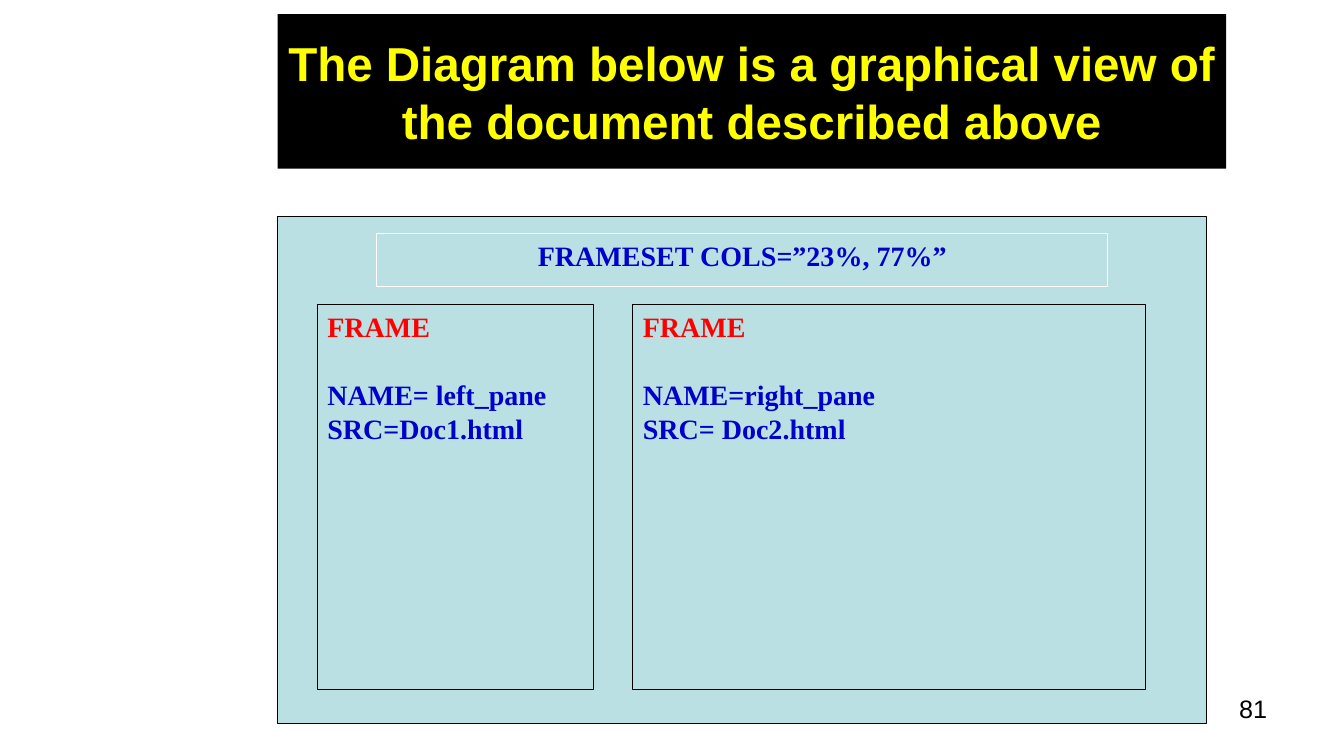
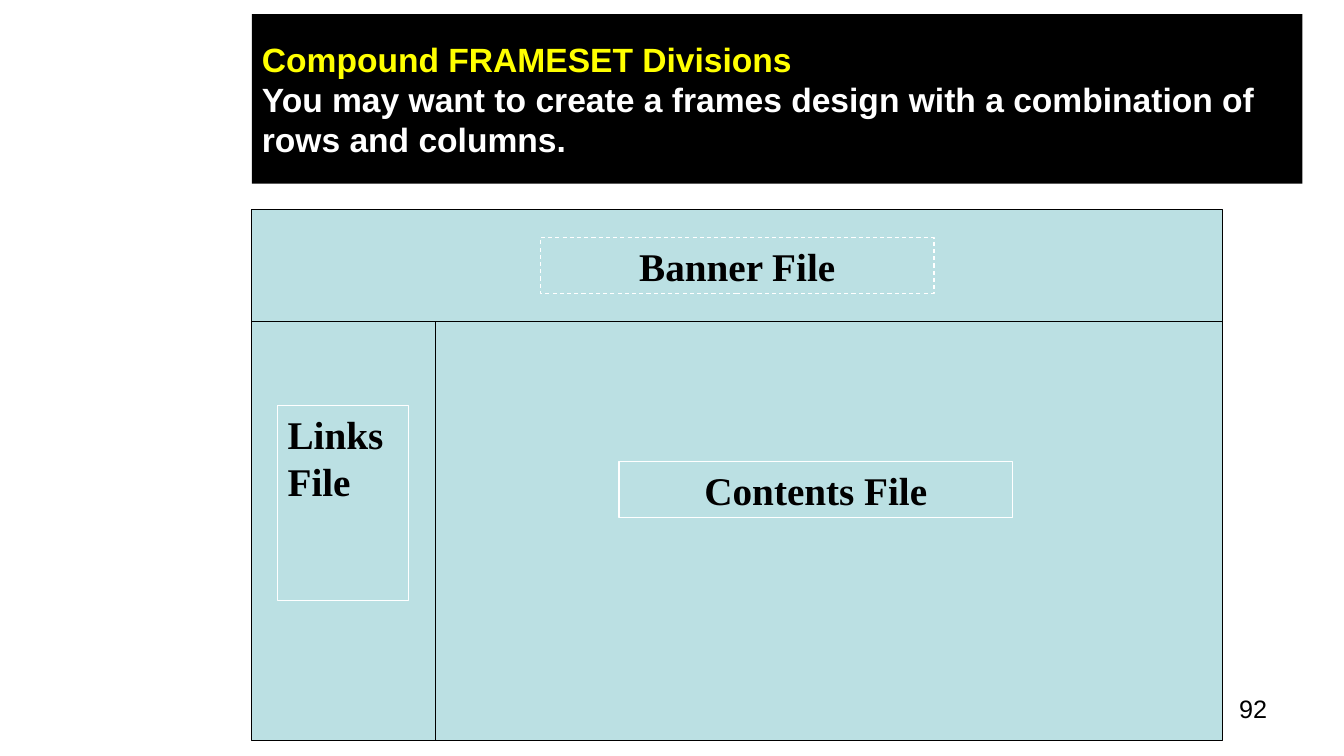
"""Build two slides that show how HTML framesets divide a page."""
from dataclasses import dataclass

from lxml import etree
from pptx import Presentation
from pptx.dml.color import RGBColor
from pptx.enum.dml import MSO_LINE
from pptx.enum.shapes import MSO_CONNECTOR, MSO_SHAPE
from pptx.enum.text import MSO_ANCHOR, PP_ALIGN
from pptx.oxml.ns import qn
from pptx.presentation import Presentation as Deck
from pptx.shapes.autoshape import Shape
from pptx.slide import Slide
from pptx.util import Cm, Pt

BLACK = RGBColor(0x00, 0x00, 0x00)
WHITE = RGBColor(0xFF, 0xFF, 0xFF)
YELLOW = RGBColor(0xFF, 0xFF, 0x00)
RED = RGBColor(0xFF, 0x00, 0x00)
BLUE = RGBColor(0x00, 0x00, 0xCC)
PALE_TEAL = RGBColor(0xBB, 0xE0, 0xE3)

SANS = "Arial"
SERIF = "Times New Roman"
LINE_WIDTH = Pt(0.75)
BLANK_LAYOUT = 6

LEFT, CENTER, RIGHT = PP_ALIGN.LEFT, PP_ALIGN.CENTER, PP_ALIGN.RIGHT
TOP, MIDDLE = MSO_ANCHOR.TOP, MSO_ANCHOR.MIDDLE
RECTANGLE = MSO_SHAPE.RECTANGLE
STRAIGHT = MSO_CONNECTOR.STRAIGHT
DASH = MSO_LINE.DASH


@dataclass(frozen=True)
class Area:
    """Rectangle on the page, in centimetres."""

    left: float
    top: float
    width: float
    height: float

    @property
    def right(self) -> float:
        """Return the right edge."""
        return self.left + self.width

    @property
    def bottom(self) -> float:
        """Return the bottom edge."""
        return self.top + self.height

    def lengths(self) -> tuple[Cm, Cm, Cm, Cm]:
        """Return position and size as slide lengths."""
        return Cm(self.left), Cm(self.top), Cm(self.width), Cm(self.height)


@dataclass(frozen=True)
class Line:
    """One paragraph of text with its colour and the gap above it."""

    text: str
    color: RGBColor = BLACK
    space_before: float = 0


@dataclass(frozen=True)
class Label:
    """Bordered text box inside a frameset panel."""

    area: Area
    lines: tuple[Line, ...]
    border: RGBColor = WHITE
    align: PP_ALIGN = CENTER
    dashed: bool = False


PAGE_NUMBER_AREA = Area(24.28, 17.35, 7.9, 1.32)


def write_text(box: Shape, lines: tuple[Line, ...], *, size: float, font: str = SANS,
               bold: bool = True, align: PP_ALIGN = LEFT, anchor: MSO_ANCHOR = TOP) -> None:
    """Fill a shape with one paragraph per line."""
    frame = box.text_frame
    frame.word_wrap = True
    frame.vertical_anchor = anchor
    for index, line in enumerate(lines):
        para = frame.add_paragraph() if index else frame.paragraphs[0]
        para.alignment = align
        para.space_before = Pt(line.space_before)
        span = para.add_run()
        span.text = line.text
        span.font.name = font
        span.font.size = Pt(size)
        span.font.bold = bold
        span.font.color.rgb = line.color


def add_box(page: Slide, area: Area, fill: RGBColor, border: RGBColor | None = None) -> Shape:
    """Add a flat rectangle, with a border if a colour is given."""
    box = page.shapes.add_shape(RECTANGLE, *area.lengths())
    box.shadow.inherit = False
    box.fill.solid()
    box.fill.fore_color.rgb = fill
    if border is None:
        box.line.fill.background()
    else:
        box.line.color.rgb = border
        box.line.width = LINE_WIDTH
    return box


def add_label(page: Slide, label: Label, size: float) -> None:
    """Add a bordered label in the serif font."""
    box = add_box(page, label.area, PALE_TEAL, label.border)
    if label.dashed:
        box.line.dash_style = DASH
    write_text(box, label.lines, size=size, font=SERIF, align=label.align)


def add_divider(page: Slide, left: float, top: float, right: float, bottom: float) -> None:
    """Add a thin black line between two frames."""
    divider = page.shapes.add_connector(STRAIGHT, Cm(left), Cm(top), Cm(right), Cm(bottom))
    divider.line.color.rgb = BLACK
    divider.line.width = LINE_WIDTH
    etree.SubElement(divider._element.spPr, qn("a:effectLst"))


def add_page(deck: Deck, number: int, title_area: Area, title: tuple[Line, ...], *,
             title_size: float, title_align: PP_ALIGN = LEFT) -> Slide:
    """Add a page with its number and black title band."""
    page = deck.slides.add_slide(deck.slide_layouts[BLANK_LAYOUT])
    number_box = page.shapes.add_textbox(*PAGE_NUMBER_AREA.lengths())
    write_text(number_box, (Line(str(number)),), size=18, bold=False, align=RIGHT)
    band = add_box(page, title_area, BLACK)
    write_text(band, title, size=title_size, align=title_align, anchor=MIDDLE)
    return page


def frame_label(area: Area, name: str, source: str) -> Label:
    """Describe a frame by its name and source."""
    lines = (Line("FRAME", RED), Line(name, BLUE, space_before=25), Line(source, BLUE))
    return Label(area, lines, BLACK, LEFT)


def build_columns_page(deck: Deck) -> None:
    """Build the page with two frames side by side."""
    title = Line("The Diagram below is a graphical view of the document described above", YELLOW)
    page = add_page(deck, 81, Area(7, 0.36, 23.9, 3.89), (title,),
                    title_size=34, title_align=CENTER)
    add_box(page, Area(7, 5.46, 23.4, 12.78), PALE_TEAL, BLACK)
    labels = (
        Label(Area(9.5, 5.89, 18.42, 1.32), (Line("FRAMESET COLS=”23%, 77%”", BLUE),)),
        frame_label(Area(15.95, 7.67, 12.93, 9.7), "NAME=right_pane", "SRC= Doc2.html"),
        frame_label(Area(8, 7.67, 6.96, 9.7), "NAME= left_pane", "SRC=Doc1.html"),
    )
    for label in labels:
        add_label(page, label, 20)


def build_compound_page(deck: Deck) -> None:
    """Build the page that combines rows and columns."""
    title = (
        Line("Compound FRAMESET Divisions", YELLOW),
        Line("You may want to create a frames design with a combination of rows and columns.",
             WHITE),
    )
    page = add_page(deck, 92, Area(6.35, 0.36, 26.47, 4.27), title, title_size=24)
    panel = Area(6.35, 5.28, 24.46, 13.39)
    banner_bottom, links_right = 8.1, 10.97
    add_box(page, panel, PALE_TEAL, BLACK)
    add_divider(page, panel.left, banner_bottom, panel.right, banner_bottom)
    add_divider(page, links_right, banner_bottom, links_right, panel.bottom)
    labels = (
        Label(Area(13.62, 5.99, 9.92, 1.4), (Line("Banner File"),), dashed=True),
        Label(Area(15.6, 11.63, 9.92, 1.4), (Line("Contents File"),)),
        Label(Area(7, 10.21, 3.3, 4.93), (Line("Links"), Line("File")), align=LEFT),
    )
    for label in labels:
        add_label(page, label, 28)


def main() -> None:
    """Build and save the deck."""
    deck = Presentation()
    deck.slide_width = Cm(33.87)
    deck.slide_height = Cm(19.05)
    build_columns_page(deck)
    build_compound_page(deck)
    deck.save("out.pptx")


if __name__ == "__main__":
    main()
